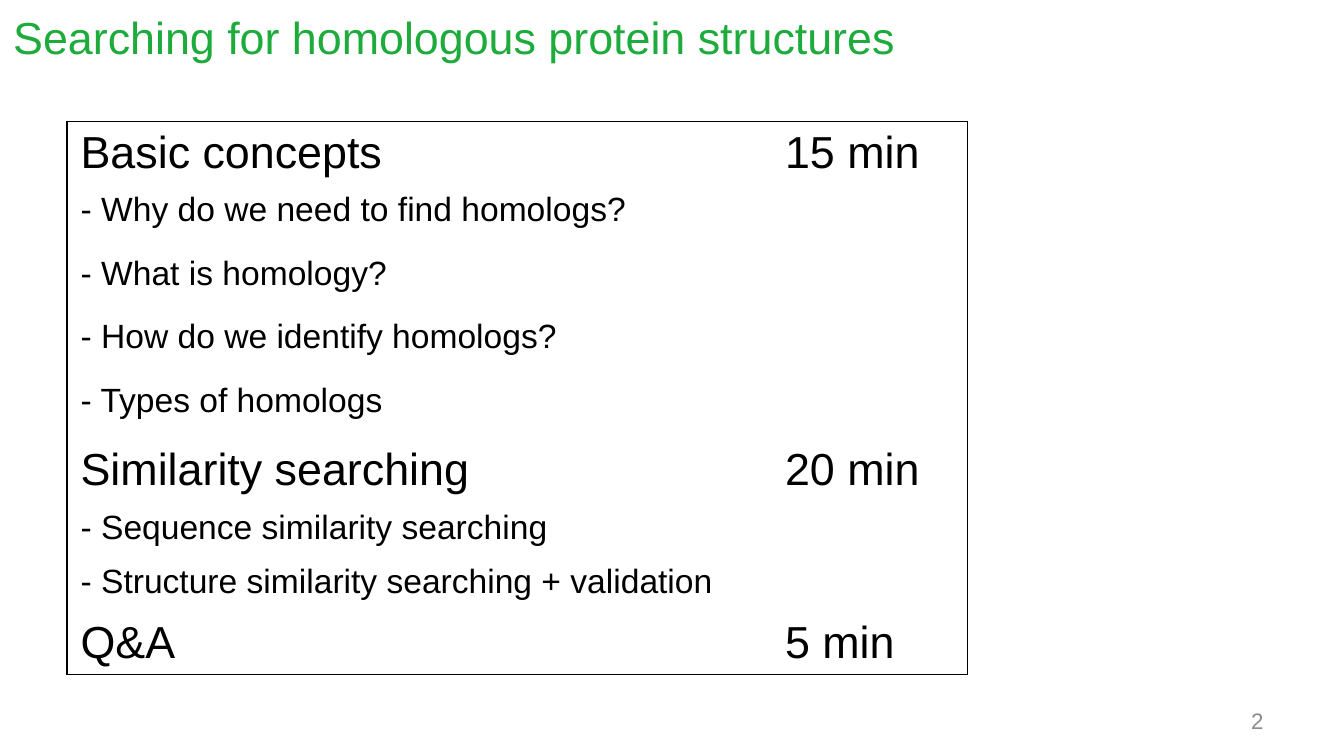
from dataclasses import dataclass
from lxml import etree
from pptx import Presentation
from pptx.dml.color import RGBColor
from pptx.enum import text
from pptx.oxml.ns import qn
from pptx.util import Pt


@dataclass(frozen=True)
class Theme:
    font: str = "Arial"
    black: str = "000000"
    green: str = "1DAB3B"
    grey: str = "8C8C8C"
    large: int = 24
    medium: int = 18
    small: int = 12


theme = Theme()


def write(tf, words, size, color, align=text.PP_ALIGN.LEFT):
    p = tf.paragraphs[0]
    p.alignment = align
    r = p.add_run()
    r.text = words
    for name, value in {"name": theme.font, "size": Pt(size), "bold": False}.items():
        setattr(r.font, name, value)
    r.font.color.rgb = RGBColor.from_string(color)


def add_border(cell, side, visible):
    ln = etree.SubElement(cell._tc.get_or_add_tcPr(), qn(f"a:ln{side}"), w=str(Pt(1)))
    if visible:
        fill = etree.SubElement(ln, qn("a:solidFill"))
        etree.SubElement(fill, qn("a:srgbClr"), val=theme.black)
    else:
        etree.SubElement(ln, qn("a:noFill"))


prs = Presentation()
prs.slide_width, prs.slide_height = Pt(720), Pt(405)
s = prs.slides.add_slide(prs.slide_layouts[6])

agenda = [
    ("Basic concepts", "15 min", theme.large, 34),
    ("- Why do we need to find homologs?", "", theme.medium, 34),
    ("- What is homology?", "", theme.medium, 34),
    ("- How do we identify homologs?", "", theme.medium, 34),
    ("- Types of homologs", "", theme.medium, 34),
    ("Similarity searching", "20 min", theme.large, 34),
    ("- Sequence similarity searching", "", theme.medium, 27.2),
    ("- Structure similarity searching + validation", "", theme.medium, 27.2),
    ("Q&A", "5 min", theme.large, 34),
]
widths = [377.4, 105]
height = sum(row[3] for row in agenda)
tbl = s.shapes.add_table(len(agenda), len(widths), Pt(36), Pt(65),
                         Pt(sum(widths)), Pt(height)).table
for name in ("first_row", "horz_banding"):
    setattr(tbl, name, False)
for col, width in zip(tbl.columns, widths):
    col.width = Pt(width)

for i, (topic, duration, size, row_height) in enumerate(agenda):
    tbl.rows[i].height = Pt(row_height)
    for j, words in enumerate((topic, duration)):
        cell = tbl.cell(i, j)
        edges = {"L": j == 0, "R": j == len(widths) - 1,
                 "T": i == 0, "B": i == len(agenda) - 1}
        for side, visible in edges.items():
            add_border(cell, side, visible)
        cell.fill.background()
        if words:
            write(cell.text_frame, words, size, theme.black)

labels = [
    ("2", (516, 375, 168, 21.6), theme.small, theme.grey, text.PP_ALIGN.RIGHT,
     {"vertical_anchor": text.MSO_ANCHOR.MIDDLE}),
    ("Searching for homologous protein structures", (0, 0, 720, 67.7), theme.large,
     theme.green, text.PP_ALIGN.LEFT, {"margin_top": Pt(5)}),
]
for words, box, size, color, align, frame in labels:
    tf = s.shapes.add_textbox(*map(Pt, box)).text_frame
    for name, value in {"word_wrap": True, **frame}.items():
        setattr(tf, name, value)
    write(tf, words, size, color, align)

prs.save("out.pptx")
